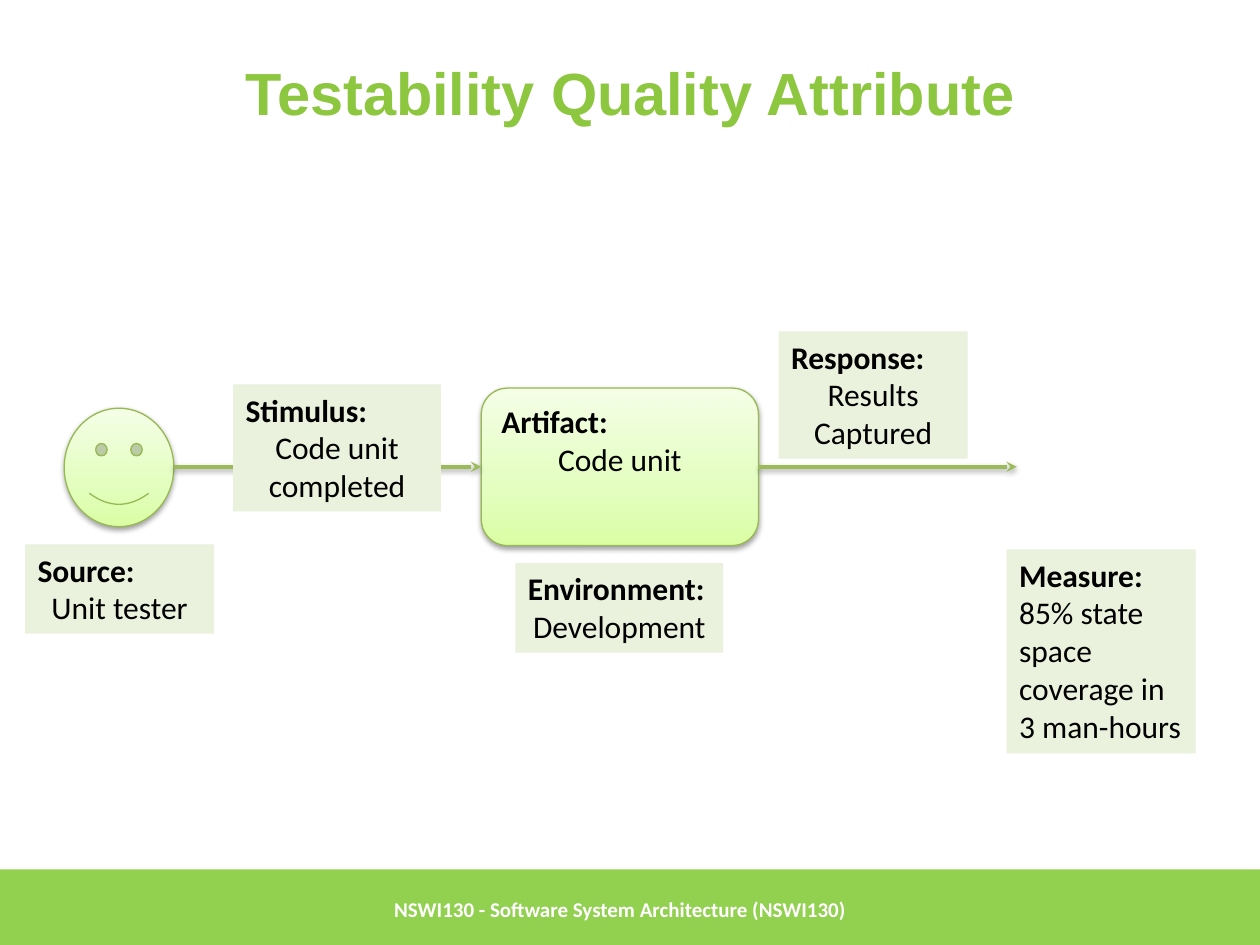
from lxml.etree import SubElement
from pptx import Presentation
from pptx.dml.color import RGBColor
from pptx.enum.shapes import MSO_CONNECTOR, MSO_SHAPE
from pptx.enum.text import MSO_ANCHOR, MSO_AUTO_SIZE, PP_ALIGN
from pptx.oxml.ns import qn
from pptx.util import Inches, Pt

COLORS = {
    "title": "8DC63F", "footer": "92D050", "label": "EAF1DD",
    "outline": "97B853", "arrow": "9BBB59",
    "text": "000000", "white": "FFFFFF", "shadow": "000000",
}
NODE_GRADIENT = [(0, "DAFEA4"), (35, "E3FEBF"), (100, "F4FEE6")]

# Label heading, content, content alignment, (left, top, width, height)
LABELS = [
    ("Source:", "Unit tester", PP_ALIGN.CENTER, (0.2, 4.32, 1.5, 0.71)),
    ("Stimulus:", "Code unit completed", PP_ALIGN.CENTER, (1.85, 3.05, 1.65, 1.01)),
    ("Environment:", "Development", PP_ALIGN.CENTER, (4.09, 4.47, 1.65, 0.71)),
    ("Response:", "Results Captured", PP_ALIGN.CENTER, (6.18, 2.63, 1.5, 1.01)),
    ("Measure:", "85% state space coverage in 3 man-hours", PP_ALIGN.LEFT,
     (7.99, 4.36, 1.5, 1.62)),
]


def color(name):
    return RGBColor.from_string(COLORS[name])


def inches(box):
    return [Inches(length) for length in box]


def add_run(paragraph, text, size, color_name="text", bold=False, font="Calibri"):
    run = paragraph.add_run()
    run.text = text
    run.font.name = font
    run.font.size = Pt(size)
    run.font.bold = bold
    run.font.color.rgb = color(color_name)


def write_entry(frame, heading, content, align):
    """Bold heading with its content on the paragraph below."""
    frame.word_wrap = True
    frame.vertical_anchor = MSO_ANCHOR.TOP
    first = frame.paragraphs[0]
    first.alignment = PP_ALIGN.LEFT
    add_run(first, heading, 18, bold=True)
    second = frame.add_paragraph()
    second.alignment = align
    add_run(second, content, 18)


def add_shadow(properties):
    effects = SubElement(properties, qn("a:effectLst"))
    shadow = SubElement(effects, qn("a:outerShdw"), blurRad="40000",
                        dist="20000", dir="5400000", rotWithShape="0")
    tint = SubElement(shadow, qn("a:srgbClr"), val=COLORS["shadow"])
    SubElement(tint, qn("a:alpha"), val="37000")


def add_node(slide, kind, box):
    """Gradient-filled shape with a soft shadow."""
    node = slide.shapes.add_shape(kind, *inches(box))
    node.fill.gradient()
    node.fill.gradient_angle = 90
    stops = node.element.spPr.find(".//" + qn("a:gsLst"))
    for stop in list(stops):
        stops.remove(stop)
    for position, shade in NODE_GRADIENT:
        stop = SubElement(stops, qn("a:gs"), pos=str(position * 1000))
        SubElement(stop, qn("a:srgbClr"), val=shade)
    node.line.color.rgb = color("outline")
    node.line.width = Pt(0.75)
    add_shadow(node.element.spPr)
    return node


def add_label(slide, heading, content, align, box):
    label = slide.shapes.add_textbox(*inches(box))
    label.fill.solid()
    label.fill.fore_color.rgb = color("label")
    write_entry(label.text_frame, heading, content, align)
    label.text_frame.auto_size = MSO_AUTO_SIZE.SHAPE_TO_FIT_TEXT


def add_arrow(slide, start, end, y):
    arrow = slide.shapes.add_connector(MSO_CONNECTOR.STRAIGHT, start, y, end, y)
    arrow.line.color.rgb = color("arrow")
    arrow.line.width = Pt(2)
    SubElement(arrow.line._get_or_add_ln(), qn("a:tailEnd"), type="stealth")
    add_shadow(arrow._element.spPr)
    return arrow


def add_title(slide, text):
    title = slide.shapes.title
    title.left, title.top, title.width, title.height = inches((0.5, 0.3, 9, 0.85))
    title.text_frame.vertical_anchor = MSO_ANCHOR.MIDDLE
    paragraph = title.text_frame.paragraphs[0]
    paragraph.alignment = PP_ALIGN.CENTER
    add_run(paragraph, text, 34, "title", True, "Arial")


def add_footer(slide, text):
    band = slide.shapes.add_shape(MSO_SHAPE.RECTANGLE, *inches((0, 6.9, 10, 0.63)))
    band.shadow.inherit = False
    band.fill.solid()
    band.fill.fore_color.rgb = color("footer")
    band.line.fill.background()
    course = slide.shapes.add_textbox(*inches((3.03, 6.9, 6.02, 0.63)))
    course.text_frame.word_wrap = True
    course.text_frame.vertical_anchor = MSO_ANCHOR.MIDDLE
    add_run(course.text_frame.paragraphs[0], text, 12, "white", True)


def main():
    prs = Presentation()
    prs.slide_width, prs.slide_height = Inches(10), Inches(7.5)
    slide = prs.slides.add_slide(prs.slide_layouts[5])

    # Title and footer
    add_title(slide, "Testability Quality Attribute")
    add_footer(slide, "NSWI130 - Software System Architecture (NSWI130)")

    # Tester and artifact
    tester = add_node(slide, MSO_SHAPE.SMILEY_FACE, (0.51, 3.24, 0.87, 0.94))
    artifact = add_node(slide, MSO_SHAPE.ROUNDED_RECTANGLE, (3.82, 3.08, 2.2, 1.25))
    write_entry(artifact.text_frame, "Artifact:", "Code unit", PP_ALIGN.CENTER)

    # Stimulus and response arrows
    middle = artifact.top + artifact.height // 2
    stimulus = add_arrow(slide, tester.left + tester.width, artifact.left, middle)
    stimulus.end_connect(artifact, 1)
    response = add_arrow(slide, artifact.left + artifact.width, Inches(8.07), middle)
    response.begin_connect(artifact, 3)

    # Scenario labels, over the arrows
    for label in LABELS:
        add_label(slide, *label)

    prs.save("out.pptx")


if __name__ == "__main__":
    main()
